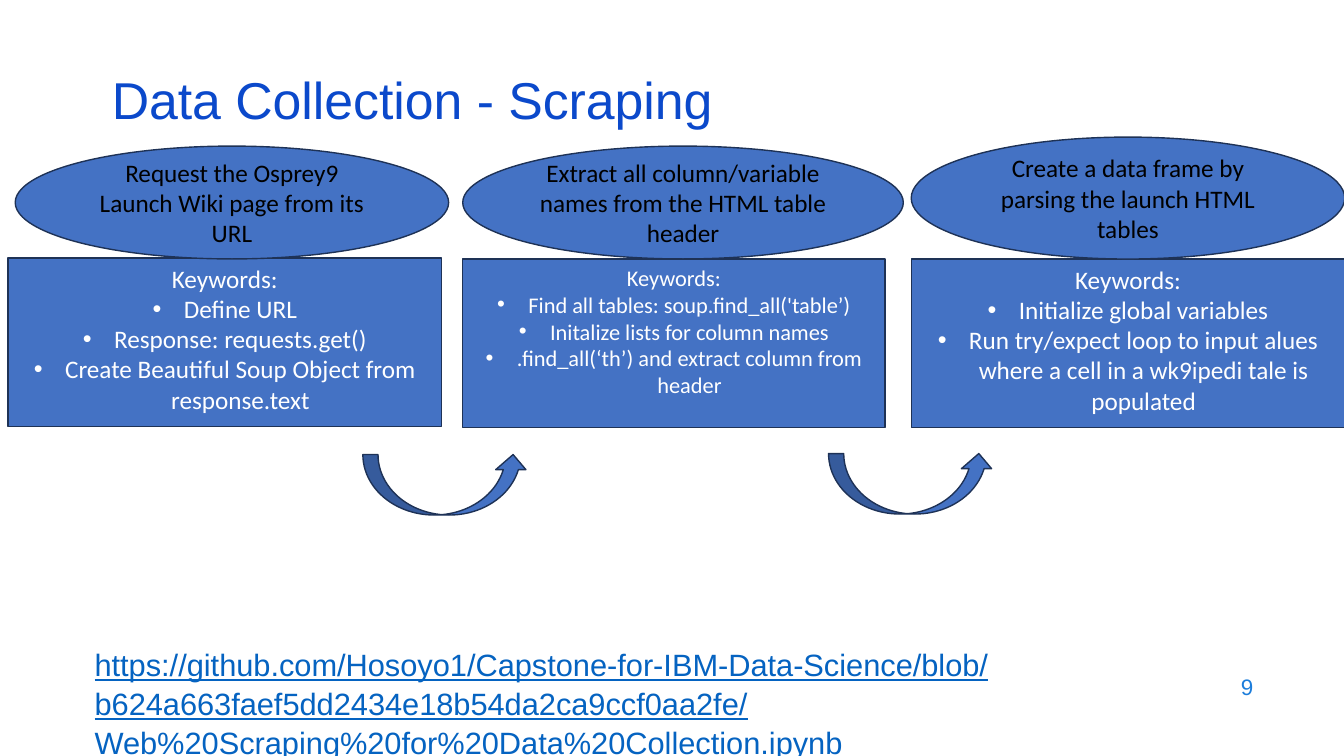
from lxml import etree
from pptx import Presentation
from pptx.dml.color import RGBColor
from pptx.enum.shapes import MSO_SHAPE
from pptx.enum.text import MSO_ANCHOR, PP_ALIGN
from pptx.oxml.ns import qn
from pptx.util import Inches, Pt

RECTANGLE, OVAL, ARROW = MSO_SHAPE.RECTANGLE, MSO_SHAPE.OVAL, MSO_SHAPE.CURVED_UP_ARROW
TOP, MIDDLE = MSO_ANCHOR.TOP, MSO_ANCHOR.MIDDLE
LEFT, CENTER, RIGHT = PP_ALIGN.LEFT, PP_ALIGN.CENTER, PP_ALIGN.RIGHT

BLUE = RGBColor(0x44, 0x72, 0xC4)
NAVY = RGBColor(0x1E, 0x32, 0x56)
TITLE_BLUE = RGBColor(0x0B, 0x49, 0xCB)
LINK_BLUE = RGBColor(0x05, 0x63, 0xC1)
NUMBER_BLUE = RGBColor(0x1C, 0x7D, 0xDB)
BLACK = RGBColor(0, 0, 0)
WHITE = RGBColor(0xFF, 0xFF, 0xFF)

presentation = Presentation()
presentation.slide_width = Inches(13.33)
presentation.slide_height = Inches(7.5)
slide = presentation.slides.add_slide(presentation.slide_layouts[6])


def add_box(kind, left, top, width, height):
    """Add a shape, or a text box if kind is None; lengths are percent of the slide."""
    across, down = presentation.slide_width / 100, presentation.slide_height / 100
    place = [round(length) for length in
             (left * across, top * down, width * across, height * down)]
    if kind is None:
        return slide.shapes.add_textbox(*place)
    shape = slide.shapes.add_shape(kind, *place)
    shape.shadow.inherit = False
    shape.fill.solid()
    shape.fill.fore_color.rgb = BLUE
    shape.line.color.rgb = NAVY
    shape.line.width = Pt(1)
    return shape


def write(shape, lines, anchor, alignment, font):
    """Fill a shape with paragraphs; every line after the first gets a bullet."""
    frame = shape.text_frame
    frame.word_wrap = True
    frame.vertical_anchor = anchor
    for index, line in enumerate(lines):
        paragraph = frame.paragraphs[0] if index == 0 else frame.add_paragraph()
        paragraph.alignment = alignment
        if index:
            properties = paragraph._p.get_or_add_pPr()
            properties.set("marL", str(Inches(0.31)))
            properties.set("indent", str(-Inches(0.31)))
            etree.SubElement(properties, qn("a:buFont")).set("typeface", "Arial")
            etree.SubElement(properties, qn("a:buChar")).set("char", "•")
        run = paragraph.add_run()
        run.text = line
        for name, value in font.items():
            if name == "color":
                run.font.color.rgb = value
            else:
                setattr(run.font, name, value)


# Page number, notebook address and title
number = add_box(None, 71.48, 87.87, 22.5, 5.87)
write(number, ["9"], MIDDLE, RIGHT, {"name": "Arial", "size": Pt(16), "color": NUMBER_BLUE})

address = add_box(None, 6.3, 84.53, 89.63, 14)
write(address, ["https://github.com/Hosoyo1/Capstone-for-IBM-Data-Science/blob/"
                "b624a663faef5dd2434e18b54da2ca9ccf0aa2fe/"
                "Web%20Scraping%20for%20Data%20Collection.ipynb"], TOP, LEFT,
      {"name": "Arial", "size": Pt(22), "color": LINK_BLUE, "underline": True})
address.text_frame.paragraphs[0].line_spacing = 1.05

title = add_box(None, 7.58, 10.13, 86.25, 8)
write(title, ["Data Collection - Scraping"], MIDDLE, LEFT,
      {"name": "Arial", "size": Pt(37), "color": TITLE_BLUE})
title.text_frame.paragraphs[0].line_spacing = 0.7

# Steps: oval place, oval text, keyword box place, keyword size, keywords
steps = [
    ((1.13, 19.33, 32.25, 14.93), "Request the Osprey9 Launch Wiki page from its URL",
     (0.6, 34.13, 32.25, 22.27), 18,
     ["Define URL", "Response: requests.get()",
      "Create Beautiful Soup Object from response.text"]),
    ((34.43, 19.33, 32.78, 14.93),
     "Extract all column/variable names from the HTML table header",
     (34.43, 34.27, 31.43, 22.27), 16,
     ["Find all tables: soup.find_all('table’)", "Initalize lists for column names",
      ".find_all(‘th’) and extract column from header"]),
    ((67.8, 18.13, 32.25, 16.13), "Create a data frame by parsing the launch HTML tables",
     (67.8, 34.27, 32.25, 22.27), 18,
     ["Initialize global variables",
      "Run try/expect loop to input alues where a cell in a wk9ipedi tale is populated"]),
]
for oval_place, step, box_place, size, keywords in steps:
    write(add_box(RECTANGLE, *box_place), ["Keywords:"] + keywords, TOP, CENTER,
          {"name": "Calibri", "size": Pt(size), "color": WHITE})
    write(add_box(OVAL, *oval_place), [step], MIDDLE, CENTER,
          {"name": "Calibri", "size": Pt(18), "color": BLACK})

# Arrows from step to step
for left, top in ((27, 60.13), (61.65, 60)):
    add_box(ARROW, left, top, 12.3, 8)

presentation.save("out.pptx")
